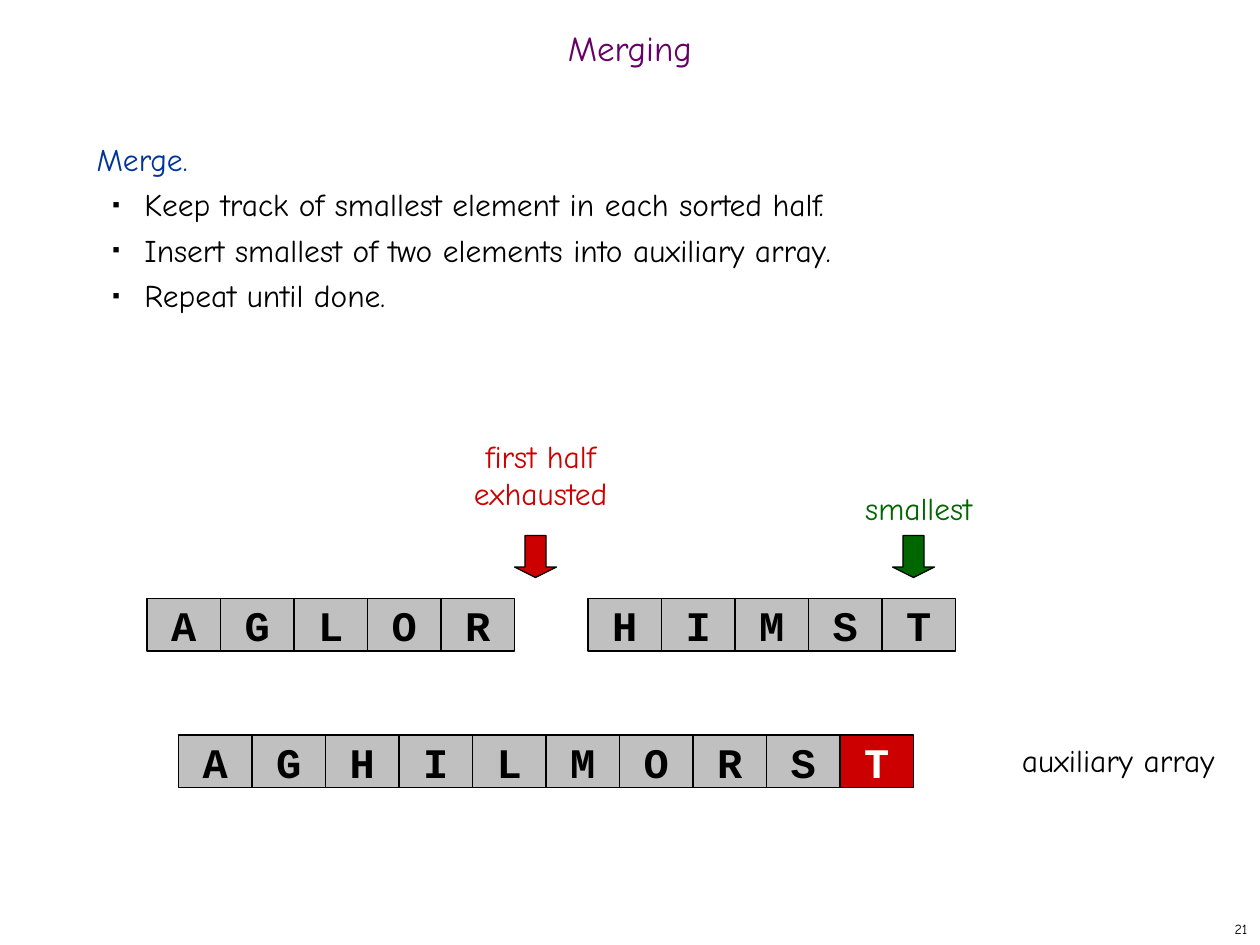
from dataclasses import dataclass

from lxml import etree
from pptx import Presentation
from pptx import util as u
from pptx.dml.color import RGBColor
from pptx.enum import shapes, text
from pptx.oxml.ns import qn

COLUMNS, ROWS = 120, 90
CELL_COLUMNS, CELL_ROWS = 7, 5
ALIGN = text.PP_ALIGN
ANCHOR = text.MSO_ANCHOR


@dataclass(frozen=True)
class Theme:
    """Fonts, colours and type sizes of the slide."""
    font: str = "Comic Neue"
    cell_font: str = "Courier New"
    ink: str = "000000"
    paper: str = "FFFFFF"
    title: str = "660066"
    heading: str = "003399"
    red: str = "CC0000"
    green: str = "006600"
    cell: str = "C0C0C0"
    title_size: int = 20
    body_size: int = 18
    cell_size: int = 24
    number_size: int = 8
    outline: float = 0.75
    line_pitch: int = 26
    label_space: float = 11.2


THEME = Theme()


def grid(column, row, columns, rows):
    """Turn a box in grid units into left, top, width and height."""
    unit = u.Inches(10) / COLUMNS
    return [u.Emu(round(value * unit)) for value in (column, row, columns, rows)]


def place(shape, box):
    """Move a shape to a box of the grid."""
    shape.left, shape.top, shape.width, shape.height = grid(*box)


def write(paragraph, words, font=THEME.font, size=THEME.body_size, color=THEME.ink,
          bold=False, align=ALIGN.LEFT, spacing=None, before=0):
    """Put formatted text into a paragraph."""
    paragraph.text = words
    paragraph.alignment = align
    paragraph.space_before = u.Pt(before)
    if spacing is not None:
        paragraph.line_spacing = spacing
    for run in paragraph.runs:
        run.font.name = font
        run.font.size = u.Pt(size)
        run.font.bold = bold
        run.font.color.rgb = RGBColor.from_string(color)


def prepare_frame(shape, anchor=ANCHOR.TOP, wrap=True):
    """Set the anchor and wrapping of a text frame and return it."""
    frame = shape.text_frame
    frame.auto_size = text.MSO_AUTO_SIZE.NONE
    frame.vertical_anchor = anchor
    frame.word_wrap = wrap
    return frame


def set_bullet(paragraph, character=None):
    """Give a paragraph a small square bullet, or none."""
    properties = paragraph._p.get_or_add_pPr()
    if character is None:
        properties.set("marL", "0")
        properties.set("indent", "0")
        etree.SubElement(properties, qn("a:buNone"))
        return
    properties.set("marL", str(u.Inches(0.38)))
    properties.set("indent", str(u.Inches(-0.25)))
    color = etree.SubElement(properties, qn("a:buClr"))
    etree.SubElement(color, qn("a:srgbClr"), val=THEME.ink)
    etree.SubElement(properties, qn("a:buSzPct"), val="35000")
    etree.SubElement(properties, qn("a:buFont"), typeface="Arial")
    etree.SubElement(properties, qn("a:buChar"), char=character)


def add_title(slide, box, words):
    """Fill the title placeholder."""
    title = slide.shapes.title
    place(title, box)
    frame = prepare_frame(title, ANCHOR.MIDDLE)
    write(frame.paragraphs[0], words, size=THEME.title_size, color=THEME.title,
          align=ALIGN.CENTER, spacing=0.7)


def add_body(slide, box, heading, items):
    """Fill the body placeholder with a heading and its bulleted items."""
    body = slide.placeholders[1]
    place(body, box)
    frame = prepare_frame(body)
    pitch = u.Pt(THEME.line_pitch)
    write(frame.paragraphs[0], heading, color=THEME.heading, spacing=pitch)
    set_bullet(frame.paragraphs[0])
    for item in items:
        paragraph = frame.add_paragraph()
        paragraph.level = 1
        write(paragraph, item, spacing=pitch)
        set_bullet(paragraph, "■")


def add_label(slide, box, words, anchor=ANCHOR.TOP, wrap=True, **style):
    """Add a text box with one formatted paragraph."""
    label = slide.shapes.add_textbox(*grid(*box))
    write(prepare_frame(label, anchor, wrap).paragraphs[0], words, **style)


def add_block(slide, kind, box, fill):
    """Add a filled and outlined preset shape."""
    block = slide.shapes.add_shape(kind, *grid(*box))
    block.shadow.inherit = False
    block.fill.solid()
    block.fill.fore_color.rgb = RGBColor.from_string(fill)
    block.line.color.rgb = RGBColor.from_string(THEME.ink)
    block.line.width = u.Pt(THEME.outline)
    return block


def add_array(slide, column, row, letters, highlighted=()):
    """Lay letters out as a row of adjoining cells."""
    for index, letter in enumerate(letters):
        active = index in highlighted
        box = (column + index * CELL_COLUMNS, row, CELL_COLUMNS, CELL_ROWS)
        cell = add_block(slide, shapes.MSO_SHAPE.RECTANGLE, box,
                         THEME.red if active else THEME.cell)
        frame = prepare_frame(cell, ANCHOR.MIDDLE, wrap=False)
        write(frame.paragraphs[0], letter, font=THEME.cell_font, size=THEME.cell_size,
              color=THEME.paper if active else THEME.ink, bold=True, align=ALIGN.CENTER)


def add_pointer(slide, box, words, color, arrow_column):
    """Add a coloured label with a down arrow under it."""
    add_label(slide, box, words, color=color, align=ALIGN.CENTER,
              before=THEME.label_space)
    add_block(slide, shapes.MSO_SHAPE.DOWN_ARROW, (arrow_column, 51, 4, 4), color).adjustments[1] = 0.25


def add_merge_diagram(slide):
    """Draw both sorted halves, their pointers and the auxiliary array."""
    add_pointer(slide, (39, 41, 25, 8.4), "first half\nexhausted", THEME.red, 49)
    add_pointer(slide, (75, 46, 25, 4.8), "smallest", THEME.green, 85)
    add_array(slide, 14, 57, "AGLOR")
    add_array(slide, 56, 57, "HIMST")
    add_array(slide, 17, 70, "AGHILMORST", highlighted={9})
    add_label(slide, (95, 70, 23, 4.8), "auxiliary array", align=ALIGN.CENTER,
              before=THEME.label_space)


def main():
    """Build and save the slide."""
    presentation = Presentation()
    presentation.slide_width, presentation.slide_height = grid(0, 0, COLUMNS, ROWS)[2:]
    slide = presentation.slides.add_slide(presentation.slide_layouts[1])
    add_title(slide, (0, 2, COLUMNS, 6), "Merging")
    add_body(slide, (8, 12, 103, 71), "Merge.", [
        "Keep track of smallest element in each sorted half.",
        "Insert smallest of two elements into auxiliary array.",
        "Repeat until done.",
    ])
    add_merge_diagram(slide)
    add_label(slide, (95, 87, 25, 3), "21", ANCHOR.MIDDLE, wrap=False,
              size=THEME.number_size, align=ALIGN.RIGHT)
    presentation.save("out.pptx")


if __name__ == "__main__":
    main()
